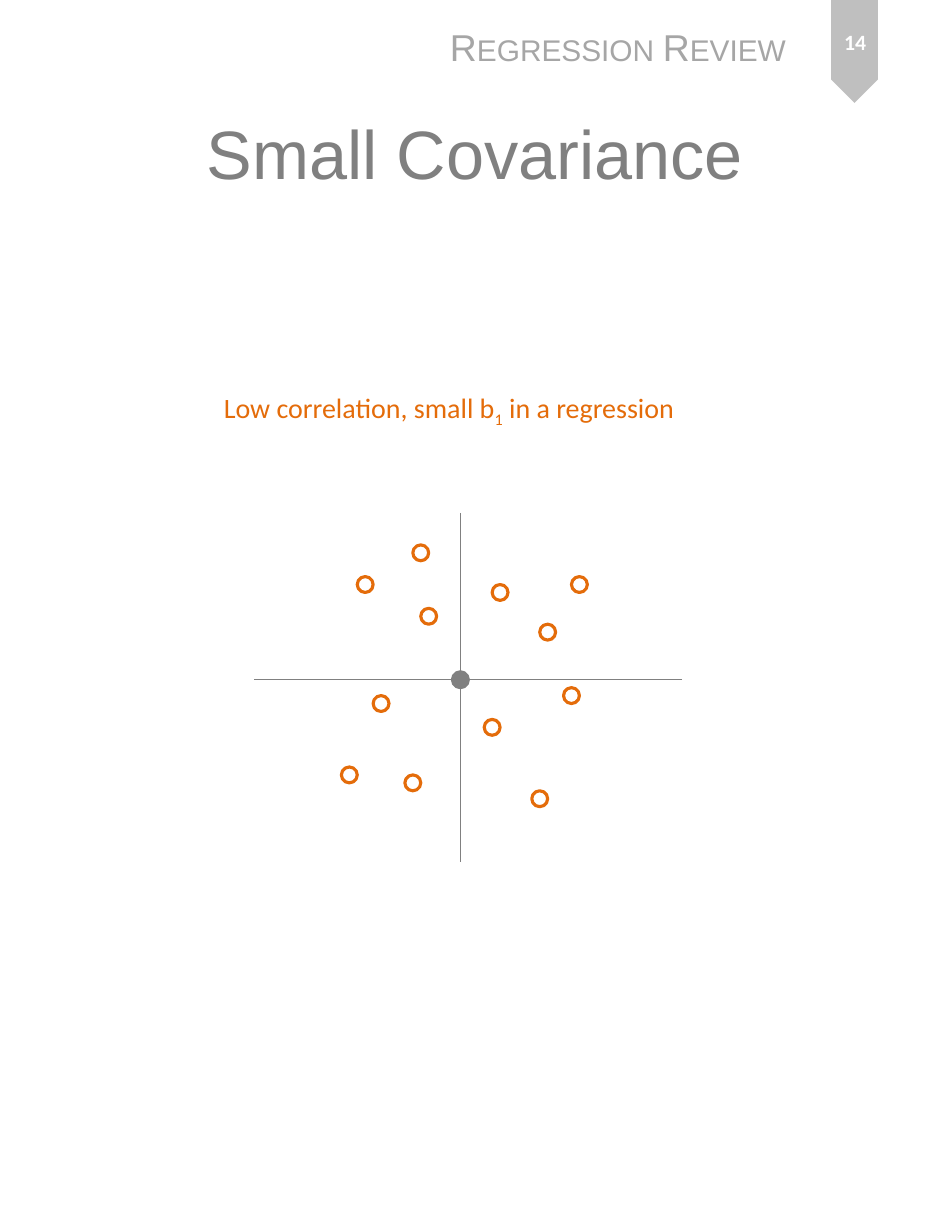
"""Build the Small Covariance slide with its scatter of points around the mean."""
from lxml import etree
from pptx import Presentation
from pptx.dml.color import RGBColor
from pptx.enum.shapes import MSO_CONNECTOR, MSO_SHAPE
from pptx.enum.text import MSO_ANCHOR, MSO_AUTO_SIZE, PP_ALIGN
from pptx.oxml.ns import qn
from pptx.util import Pt

PENNANT, DOT = MSO_SHAPE.PENTAGON, MSO_SHAPE.OVAL
STRAIGHT = MSO_CONNECTOR.STRAIGHT
CENTER, LEFT = PP_ALIGN.CENTER, PP_ALIGN.LEFT
MIDDLE, TOP = MSO_ANCHOR.MIDDLE, MSO_ANCHOR.TOP
FIXED, GROW = MSO_AUTO_SIZE.NONE, MSO_AUTO_SIZE.SHAPE_TO_FIT_TEXT

COLORS = {
    "ribbon": "BFBFBF",
    "gray": "808080",
    "header": "A6A6A6",
    "accent": "E46C0A",
    "white": "FFFFFF",
}
FONTS = {
    "title": {"name": "Arial", "size": Pt(44)},
    "header": {"name": "Arial", "size": Pt(24)},
    "note": {"name": "Calibri", "size": Pt(18)},
    "number": {"name": "Calibri", "size": Pt(14), "bold": True},
}
CENTERED = {"word_wrap": True, "auto_size": FIXED, "vertical_anchor": MIDDLE}
GROWING = {"word_wrap": False, "auto_size": GROW, "vertical_anchor": TOP}

MEAN_X, MEAN_Y = 296, 437
GRID_STEP = 5.1
DOT_SIZE = 10.2
OBSERVATIONS = [
    (11, -6), (15, -12), (-4, -8), (-12, -12), (-10, 3), (-6, 13),
    (-5, -16), (5, -11), (10, 15), (-14, 12), (4, 6), (14, 2),
]


class SlideBuilder:
    """Hold the style and the current slide."""

    def __init__(self, slide):
        self.slide = slide

    def color(self, name):
        return RGBColor.from_string(COLORS[name])

    def fill_frame(self, frame, runs, font, color, layout, align):
        for attribute, value in layout.items():
            setattr(frame, attribute, value)
        paragraph = frame.paragraphs[0]
        paragraph.alignment = align
        for text, extras in runs:
            run = paragraph.add_run()
            run.text = text
            for attribute, value in FONTS[font].items():
                setattr(run.font, attribute, value)
            run.font.color.rgb = self.color(color)
            for attribute, value in extras.items():
                run.font._element.set(attribute, value)

    def title(self, box, text):
        heading = self.slide.shapes.title
        for side, length in zip(("left", "top", "width", "height"), box):
            setattr(heading, side, Pt(length))
        self.fill_frame(heading.text_frame, [(text, {})], "title", "gray", CENTERED, CENTER)

    def text(self, box, runs, font, color, layout, align):
        label = self.slide.shapes.add_textbox(*map(Pt, box))
        self.fill_frame(label.text_frame, runs, font, color, layout, align)

    def shape(self, kind, box, fill=None, line=None, rotation=0):
        figure = self.slide.shapes.add_shape(kind, *map(Pt, box))
        figure.shadow.inherit = False
        figure.rotation = rotation
        if fill:
            figure.fill.solid()
            figure.fill.fore_color.rgb = self.color(fill)
        else:
            figure.fill.background()
        if line:
            figure.line.color.rgb = self.color(line)
            figure.line.width = Pt(2)
        else:
            figure.line.fill.background()

    def dot(self, column, row, line, fill=None):
        left = MEAN_X + column * GRID_STEP - DOT_SIZE / 2
        top = MEAN_Y + row * GRID_STEP - DOT_SIZE / 2
        self.shape(DOT, (left, top, DOT_SIZE, DOT_SIZE), fill, line)

    def axis(self, *ends):
        connector = self.slide.shapes.add_connector(STRAIGHT, *map(Pt, ends))
        connector.line.color.rgb = self.color("gray")
        connector.line.width = Pt(0.75)
        etree.SubElement(connector._element.spPr, qn("a:effectLst"))


def main():
    deck = Presentation()
    deck.slide_width, deck.slide_height = Pt(612), Pt(792)
    page = SlideBuilder(deck.slides.add_slide(deck.slide_layouts[5]))

    page.shape(PENNANT, (516.2, 18, 66.2, 30.2), fill="ribbon", rotation=90)
    page.title((30.2, 31.7, 550.8, 131.8), "Small Covariance")

    page.axis(MEAN_X, 329.8, MEAN_X, 554.4)
    page.axis(438.5, MEAN_Y, 163.4, MEAN_Y)
    page.dot(0, 0, "gray", "gray")
    for column, row in OBSERVATIONS:
        page.dot(column, row, "accent")

    correlation_note = [
        ("Low correlation, small b", {}),
        ("1", {"baseline": "-25000"}),
        (" in a regression", {}),
    ]
    page.text((136.8, 247.7, 308.2, 29), correlation_note, "note", "accent", GROWING, LEFT)
    page.text((522.7, 5.8, 54, 42.5), [("14", {})], "number", "white", CENTERED, CENTER)
    page.text((282.2, 12.2, 234, 36), [("Regression Review", {"cap": "small"})],
              "header", "header", GROWING, LEFT)
    deck.save("out.pptx")


if __name__ == "__main__":
    main()
